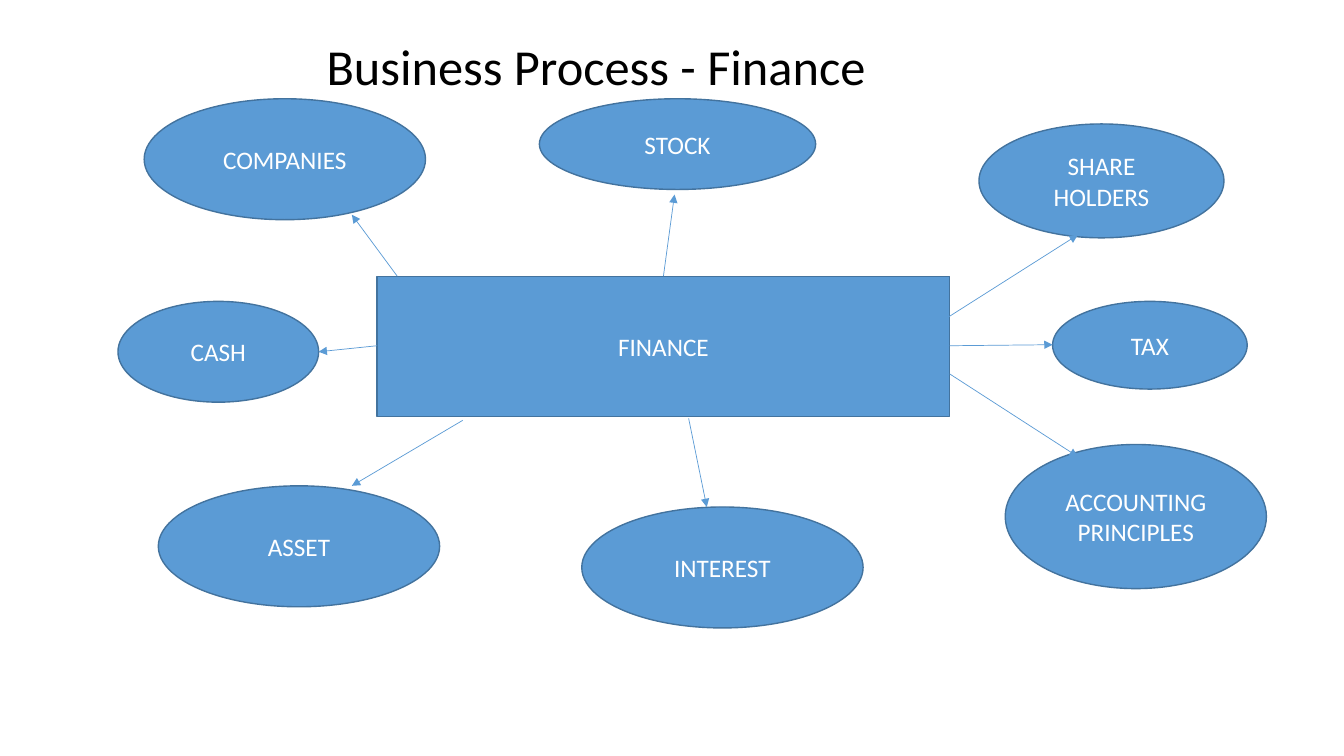
from lxml.etree import SubElement
from pptx import Presentation
from pptx.dml.color import RGBColor
from pptx.enum.shapes import MSO_CONNECTOR as Link, MSO_SHAPE as Kind
from pptx.enum.text import MSO_ANCHOR as Anchor, MSO_AUTO_SIZE as Fit, PP_ALIGN as Align
from pptx.oxml.ns import qn
from pptx.util import Inches, Pt

BLUE = RGBColor(0x5B, 0x9B, 0xD5)
EDGE = RGBColor(0x43, 0x73, 0x9E)
WHITE = RGBColor(0xFF, 0xFF, 0xFF)
BLACK = RGBColor(0x00, 0x00, 0x00)


class Board:
    """Style and current slide; lengths are columns and rows of a square grid."""
    font = "Calibri"
    cell = Inches(0.1)

    def __init__(self, slide):
        self.slide = slide

    def grid(self, *spans):
        return [round(span * self.cell) for span in spans]

    def label(self, frame, text, size, color, align):
        frame.word_wrap = True
        para = frame.paragraphs[0]
        para.alignment = align
        run = para.add_run()
        run.text = text
        run.font.name = self.font
        run.font.size = Pt(size)
        run.font.color.rgb = color

    def title(self, text, *box):
        frame = self.slide.shapes.add_textbox(*self.grid(*box)).text_frame
        self.label(frame, text, 36, BLACK, Align.LEFT)
        frame.auto_size = Fit.SHAPE_TO_FIT_TEXT

    def node(self, text, *box, kind=Kind.OVAL):
        shape = self.slide.shapes.add_shape(kind, *self.grid(*box))
        shape.shadow.inherit = False
        shape.fill.solid()
        shape.fill.fore_color.rgb = BLUE
        shape.line.color.rgb = EDGE
        shape.line.width = Pt(1)
        shape.text_frame.vertical_anchor = Anchor.MIDDLE
        self.label(shape.text_frame, text, 18, WHITE, Align.CENTER)

    def arrow(self, *ends):
        link = self.slide.shapes.add_connector(Link.STRAIGHT, *self.grid(*ends))
        link.line.color.rgb = BLUE
        link.line.width = Pt(0.5)
        props = link.element.spPr
        SubElement(props.find(qn("a:ln")), qn("a:tailEnd"), type="triangle")
        SubElement(props, qn("a:effectLst"))


deck = Presentation()
deck.slide_width, deck.slide_height = Inches(13.33), Inches(7.5)
board = Board(deck.slides.add_slide(deck.slide_layouts[6]))

# Central process
board.node("FINANCE", 37.4, 27.4, 56.8, 13.9, kind=Kind.RECTANGLE)

# Topics: left, top, width, height
large = 27.9, 12
topics = {
    "COMPANIES": (14.3, 9.8, *large),
    "STOCK": (53.5, 9.8, 27.4, 9),
    "SHARE HOLDERS": (97.1, 12.3, 24.3, 11.3),
    "CASH": (11.7, 29.9, 19.9, 10),
    "TAX": (104.4, 29.9, 19.3, 8.7),
    "ASSET": (15.7, 48.2, *large),
    "INTEREST": (57.7, 50.3, *large),
    "ACCOUNTING PRINCIPLES": (99.7, 44.1, 25.9, 14.3),
}
for name, box in topics.items():
    board.node(name, *box)

# Arrows from the process to each topic, in the same order
arrows = [
    (39.4, 27.4, 34.9, 21.3),
    (65.8, 27.4, 66.9, 19.3),
    (92.1, 32.7, 106.9, 23.3),
    (37.4, 34.3, 31.6, 34.9),
    (94.2, 34.3, 104.4, 34.2),
    (45.9, 41.7, 34.9, 48.2),
    (68.3, 41.5, 70.1, 50.3),
    (94.2, 37.1, 106.9, 45.3),
]
for ends in arrows:
    board.arrow(*ends)

# Title
board.title("Business Process - Finance", 31.4, 3, 75.5, 7.2)

deck.save("out.pptx")
